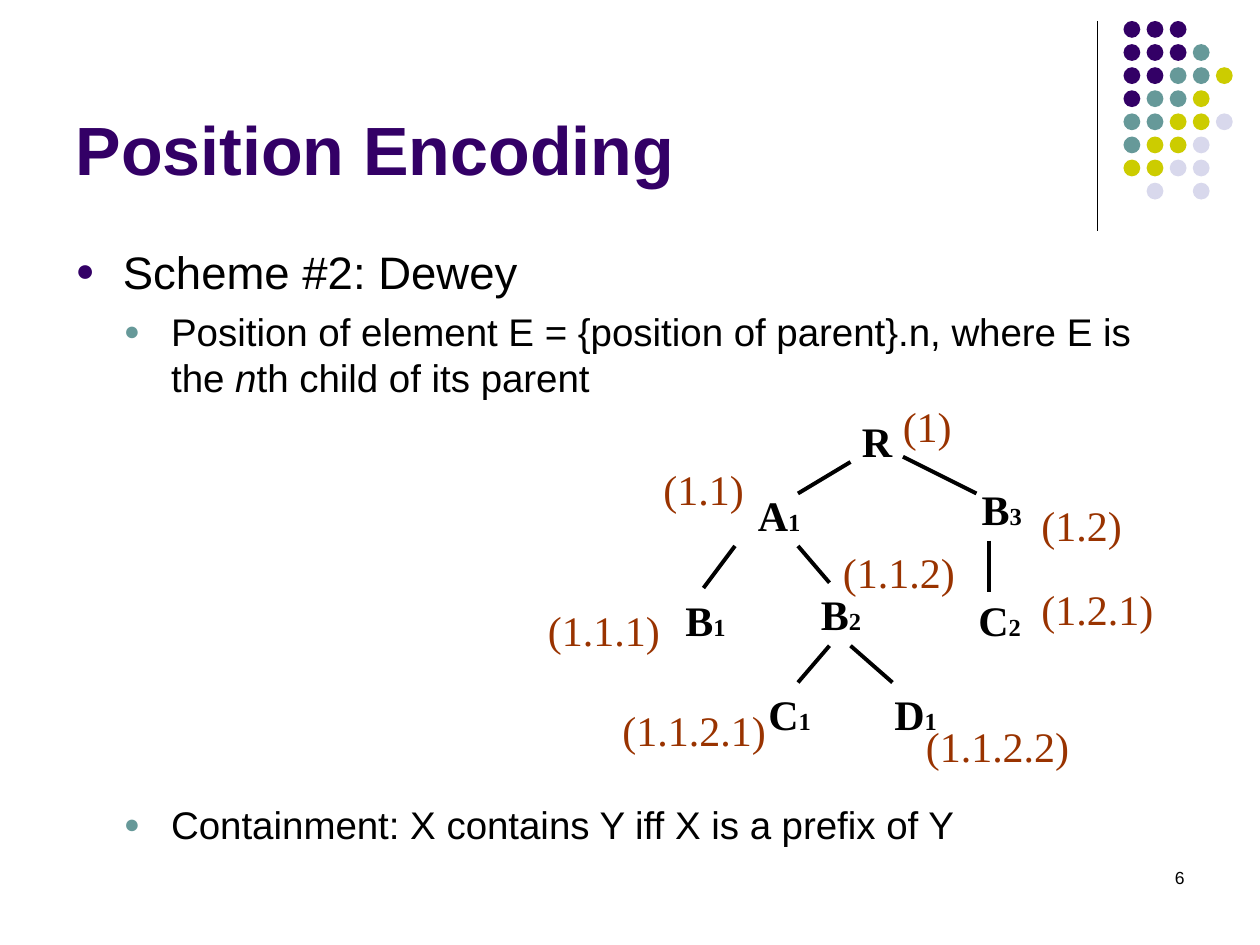
from lxml import etree
from pptx import Presentation
from pptx.dml.color import RGBColor
from pptx.enum.shapes import MSO_CONNECTOR, MSO_SHAPE
from pptx.enum.text import MSO_ANCHOR, MSO_AUTO_SIZE, PP_ALIGN
from pptx.oxml.ns import qn
from pptx.util import Pt

PX = 7620  # EMU per px, 120 px to the inch
COLORS = {"purple": "330066", "teal": "669999", "yellow": "CCCC00",
          "lilac": "D8D8EC", "black": "000000", "rust": "993300"}
SANS, SERIF = "Arial", "Times New Roman"


def px(*values):
    return [round(v * PX) for v in values]


def rgb(name):
    return RGBColor.from_string(COLORS[name])


def add_run(p, text, size, font=SANS, color="black", bold=False, italic=False):
    r = p.add_run()
    r.text = text
    r.font.size, r.font.name = Pt(size), font
    r.font.bold, r.font.italic = bold, italic
    r.font.color.rgb = rgb(color)


def add_text(shapes, box, *parts, wrap=False, align=PP_ALIGN.LEFT, **fmt):
    """Add a text box; each part is a (text, size) pair."""
    tf = shapes.add_textbox(*px(*box)).text_frame
    tf.word_wrap = wrap
    p = tf.paragraphs[0]
    p.alignment = align
    for text, size in parts:
        add_run(p, text, size, **fmt)


def add_line(shapes, x1, y1, x2, y2, width):
    s = shapes.add_connector(MSO_CONNECTOR.STRAIGHT, *px(x1, y1, x2, y2))
    s.line.color.rgb = rgb("black")
    s.line.width = Pt(width)
    etree.SubElement(s._element.spPr, qn("a:effectLst"))


def set_bullet(p, color, left, hanging):
    pPr = p._p.get_or_add_pPr()
    pPr.set("marL", str(left * PX))
    pPr.set("indent", str(-hanging * PX))
    clr = etree.SubElement(pPr, qn("a:buClr"))
    etree.SubElement(clr, qn("a:srgbClr"), val=COLORS[color])
    etree.SubElement(pPr, qn("a:buSzPct"), val="70000")
    etree.SubElement(pPr, qn("a:buFont"), typeface=SANS)
    etree.SubElement(pPr, qn("a:buChar"), char="●")


def place(sp, box):
    sp.left, sp.top, sp.width, sp.height = px(*box)
    tf = sp.text_frame
    tf.auto_size = MSO_AUTO_SIZE.NONE
    tf.word_wrap = True
    return tf


def add_corner(slide, x, y, height):
    """Vertical rule with the dot pattern to its right."""
    add_line(slide.shapes, x, y, x, y + height, 0.75)
    rows = ["PPP", "PPPT", "PPTTY", "PTTY", "TTYYL", "TYYL", "YYLL", " L L"]
    names = {"P": "purple", "T": "teal", "Y": "yellow", "L": "lilac"}
    pitch, size = 22, 16
    dots = slide.shapes.add_group_shape().shapes
    for row, codes in enumerate(rows):
        for col, code in enumerate(codes):
            if code == " ":
                continue
            s = dots.add_shape(MSO_SHAPE.OVAL, *px(
                x + 25 + col * pitch, y + row * pitch, size, size))
            s.shadow.inherit = False
            s.fill.solid()
            s.fill.fore_color.rgb = rgb(names[code])
            s.line.fill.background()


def add_title(slide, box, text):
    tf = place(slide.shapes.title, box)
    tf.vertical_anchor = MSO_ANCHOR.BOTTOM
    p = tf.paragraphs[0]
    p.alignment = PP_ALIGN.LEFT
    add_run(p, text, 39, color="purple", bold=True)


def add_body(slide, box):
    tf = place(slide.placeholders[1], box)
    # level, space before, (text, italic) runs; the large space holds the tree
    items = [
        (0, 6.5, [("Scheme #2: Dewey", False)]),
        (1, 5.5, [("Position of element E = {position of parent}.n, where E is the ", False),
                  ("n", True), ("th child of its parent", False)]),
        (1, 229, [("Containment: X contains Y iff X is a prefix of Y", False)]),
    ]
    for i, (level, before, runs) in enumerate(items):
        p = tf.add_paragraph() if i else tf.paragraphs[0]
        p.level = level
        p.space_before = Pt(before)
        set_bullet(p, ("purple", "teal")[level], 45 + 46 * level, 45)
        for text, italic in runs:
            add_run(p, text, (26, 22)[level], italic=italic)


def add_tree(slide, x, y):
    shapes = slide.shapes.add_group_shape().shapes
    # Nodes: letter, index, left, top, width
    nodes = [("R", "", 299, 20, 53), ("A", "1", 200, 90, 65),
             ("B", "1", 131, 190, 62), ("B", "2", 260, 185, 62),
             ("C", "1", 210, 280, 65), ("D", "1", 330, 280, 65),
             ("B", "3", 413, 85, 62), ("C", "2", 410, 190, 65)]
    for letter, index, left, top, width in nodes:
        parts = [(letter, 24)] + ([(index, 14)] if index else [])
        add_text(shapes, (x + left, y + top, width, 60), *parts,
                 font=SERIF, bold=True)
    # Edges
    edges = [(300, 70, 250, 100), (350, 65, 420, 100), (190, 150, 160, 190),
             (250, 150, 280, 185), (300, 245, 340, 280),
             (432, 145, 432, 194), (280, 245, 250, 280)]
    for x1, y1, x2, y2 in edges:
        add_line(shapes, x + x1, y + y1, x + x2, y + y2, 2.25)
    # Dewey positions, each level widening the label
    labels = [("(1)", 338, 6), ("(1.1)", 110, 66), ("(1.1.1)", 0, 200),
              ("(1.1.2.1)", 71, 295), ("(1.1.2.2)", 360, 310),
              ("(1.2)", 470, 100), ("(1.2.1)", 470, 180),
              ("(1.1.2)", 281, 145)]
    for text, left, top in labels:
        width = 71 + 30 * text.count(".")
        add_text(shapes, (x + left, y + top, width, 60), (text, 24),
                 font=SERIF, color="rust")


def main():
    prs = Presentation()
    prs.slide_width, prs.slide_height = px(1200, 900)
    slide = prs.slides.add_slide(prs.slide_layouts[1])
    add_corner(slide, 1045, 20, 200)
    add_title(slide, (60, 16, 990, 170), "Position Encoding")
    add_body(slide, (60, 226, 1080, 578))
    add_tree(slide, 510, 370)
    # Slide number
    add_text(slide.shapes, (860, 820, 280, 60), ("6", 10),
             wrap=True, align=PP_ALIGN.RIGHT)
    prs.save("out.pptx")


if __name__ == "__main__":
    main()
